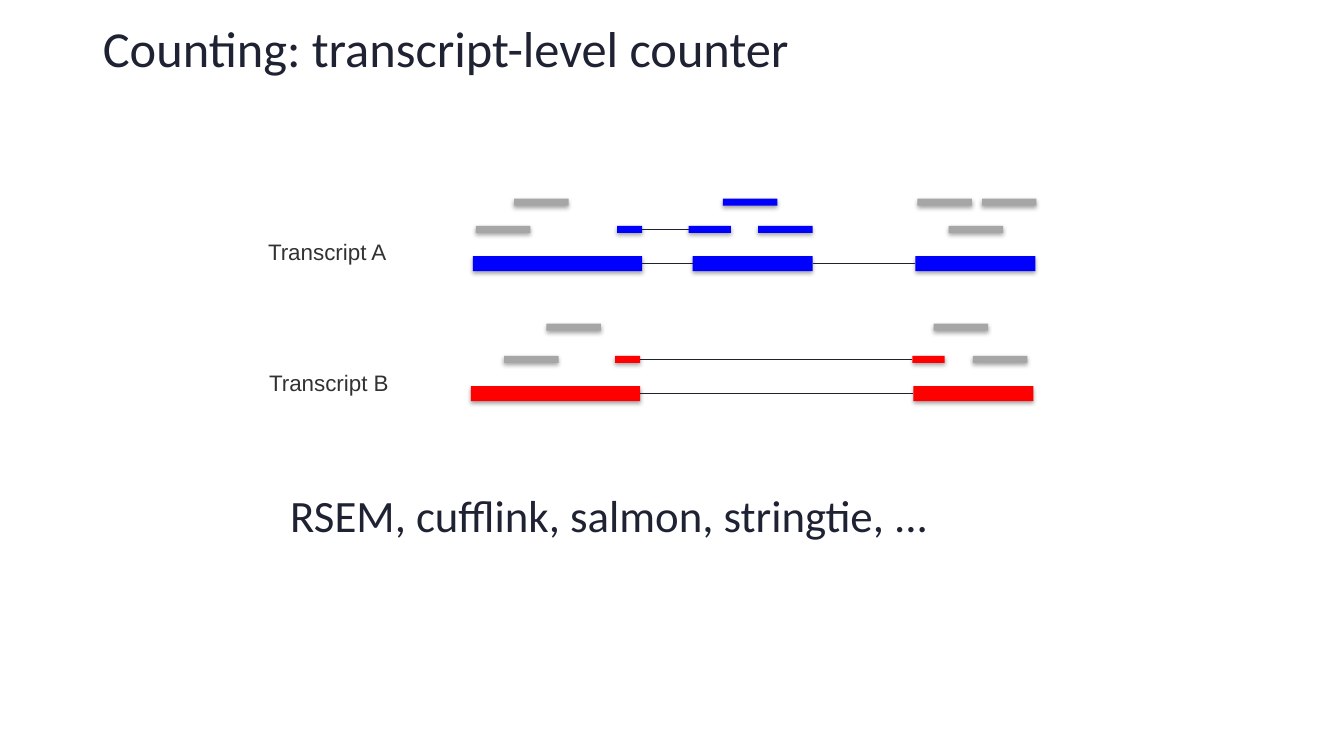
from lxml import etree
from pptx import Presentation
from pptx.dml.color import RGBColor
from pptx.enum.shapes import MSO_CONNECTOR, MSO_SHAPE
from pptx.enum.text import MSO_ANCHOR, MSO_AUTO_SIZE, PP_ALIGN
from pptx.oxml import parse_xml
from pptx.oxml.ns import nsdecls, qn
from pptx.util import Inches, Pt

INK = RGBColor(0x1E, 0x22, 0x32)
LABEL_GRAY = RGBColor(0x32, 0x32, 0x32)
READ_GRAY = RGBColor(0xA6, 0xA6, 0xA6)
BLUE = RGBColor(0x00, 0x00, 0xFF)
RED = RGBColor(0xFF, 0x00, 0x00)

EXON_HEIGHT, READ_HEIGHT, READ_WIDTH = 0.15, 0.07, 0.54
SOFT_SHADOW = (
    f'<a:effectLst {nsdecls("a")}>'
    '<a:outerShdw blurRad="39370" dist="22860" dir="5400000" rotWithShape="0">'
    '<a:srgbClr val="000000"><a:alpha val="35000"/></a:srgbClr>'
    '</a:outerShdw></a:effectLst>'
)

prs = Presentation()
prs.slide_width, prs.slide_height = Inches(13.33), Inches(7.5)
slide = prs.slides.add_slide(prs.slide_layouts[5])


def write_text(box, text, font_name, size, color):
    """Fill a text box with one left-aligned line."""
    frame = box.text_frame
    frame.word_wrap = True
    frame.auto_size = MSO_AUTO_SIZE.NONE
    frame.text = text
    line = frame.paragraphs[0]
    line.alignment = PP_ALIGN.LEFT
    formats = {"name": font_name, "size": Pt(size)}
    for attribute, value in formats.items():
        setattr(line.runs[0].font, attribute, value)
    line.runs[0].font.color.rgb = color
    return frame


def add_bar(left, top, width, height, color):
    """Draw one exon or read with a soft shadow."""
    bar = diagram.add_shape(MSO_SHAPE.RECTANGLE, Inches(left), Inches(top),
                            Inches(width), Inches(height))
    bar.fill.solid()
    bar.fill.fore_color.rgb = color
    bar.line.fill.background()
    bar._element.spPr.append(parse_xml(SOFT_SHADOW))
    return bar


# Title
title = slide.shapes.title
title.left, title.top = Inches(0.92), Inches(0.28)
title.width, title.height = Inches(11.5), Inches(0.49)
title_frame = write_text(title, "Counting: transcript-level counter", "Calibri", 36, INK)
title_frame.margin_top = title_frame.margin_bottom = 0
title_frame.vertical_anchor = MSO_ANCHOR.MIDDLE
title_frame.paragraphs[0].line_spacing = 0.8

# Tools that count this way
tools = slide.shapes.add_textbox(Inches(2.78), Inches(4.79), Inches(6.85), Inches(0.64))
write_text(tools, "RSEM, cufflink, salmon, stringtie, ...", "Calibri", 32, INK)

# Each transcript: exons and split reads as (left, width), other reads as (left, top)
transcripts = [
    {
        "label": "Transcript A", "label_at": (2.56, 2.31), "color": BLUE,
        "exon_top": 2.54, "exons": [(4.69, 1.68), (6.87, 1.19), (9.08, 1.19)],
        "split_top": 2.24, "split_read": [(6.12, 0.25), (6.83, 0.42)],
        "unique_reads": [(7.17, 1.97), (7.52, 2.24)],
        "shared_reads": [(4.72, 2.24), (5.1, 1.97), (9.1, 1.97), (9.41, 2.24), (9.74, 1.97)],
    },
    {
        "label": "Transcript B", "label_at": (2.57, 3.61), "color": RED,
        "exon_top": 3.83, "exons": [(4.67, 1.68), (9.06, 1.19)],
        "split_top": 3.53, "split_read": [(6.1, 0.25), (9.05, 0.32)],
        "unique_reads": [],
        "shared_reads": [(5, 3.53), (5.42, 3.21), (9.26, 3.21), (9.65, 3.53)],
    },
]

diagram = slide.shapes.add_group_shape().shapes
for transcript in transcripts:
    color = transcript["color"]
    label_left, label_top = transcript["label_at"]
    label = diagram.add_textbox(Inches(label_left), Inches(label_top), Inches(2.01), Inches(0.53))
    write_text(label, transcript["label"], "Arial", 16, LABEL_GRAY)

    # Exons and the split read, each joined by splice lines
    for pieces, top, height in (
        (transcript["exons"], transcript["exon_top"], EXON_HEIGHT),
        (transcript["split_read"], transcript["split_top"], READ_HEIGHT),
    ):
        bars = [add_bar(left, top, width, height, color) for left, width in pieces]
        for before, after in zip(bars, bars[1:]):
            splice = diagram.add_connector(MSO_CONNECTOR.STRAIGHT, 0, 0, 0, 0)
            splice.begin_connect(before, 3)
            splice.end_connect(after, 1)
            splice.line.color.rgb = INK
            splice.line.width = Pt(1)
            etree.SubElement(splice._element.spPr, qn("a:effectLst"))

    # Whole reads: coloured when unique to the transcript, gray when shared
    for reads, read_color in ((transcript["unique_reads"], color),
                              (transcript["shared_reads"], READ_GRAY)):
        for left, top in reads:
            add_bar(left, top, READ_WIDTH, READ_HEIGHT, read_color)

# Fit the group to its finished contents
diagram._recalculate_extents()

prs.save("out.pptx")
